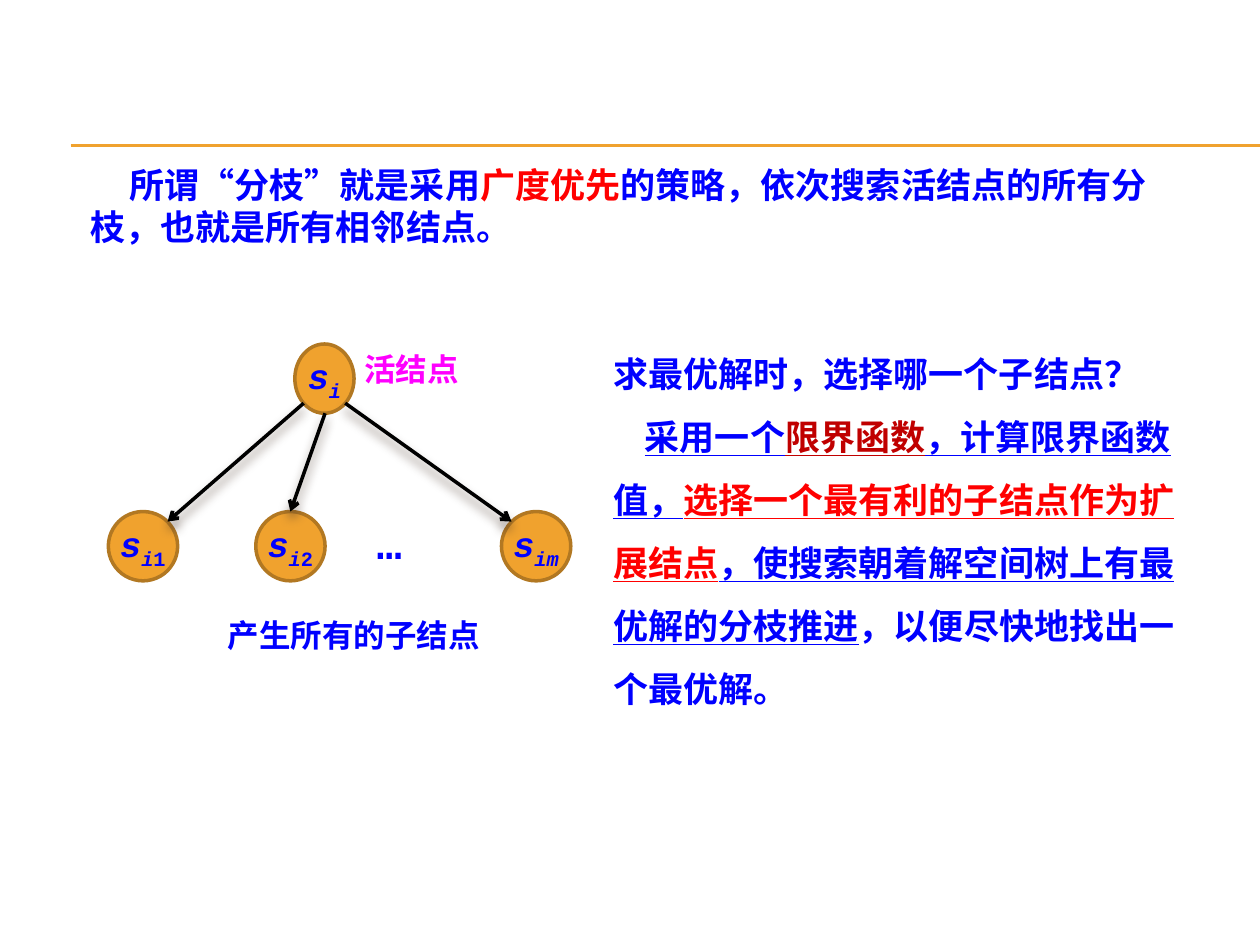
from lxml.etree import SubElement
from pptx import Presentation
from pptx.dml.color import RGBColor
from pptx.enum.shapes import MSO_CONNECTOR, MSO_SHAPE
from pptx.enum.text import MSO_ANCHOR, MSO_AUTO_SIZE, PP_ALIGN
from pptx.oxml.ns import qn
from pptx.util import Inches, Pt

BLUE = RGBColor(0x00, 0x00, 0xFF)
RED = RGBColor(0xFF, 0x00, 0x00)
DARK_RED = RGBColor(0xC0, 0x00, 0x00)
MAGENTA = RGBColor(0xFF, 0x00, 0xFF)
ORANGE = RGBColor(0xF0, 0xA2, 0x2E)
BROWN = RGBColor(0xB2, 0x78, 0x22)
BLACK = RGBColor(0x00, 0x00, 0x00)
FONT = "Courier New"
NODE_SIZE = 0.55
CHILD_TOP = 4.06


def style_paragraph(paragraph, size, color=BLUE, align=PP_ALIGN.LEFT):
    paragraph.alignment = align
    font = paragraph.font
    font.name, font.size, font.bold = FONT, Pt(size), True
    font.color.rgb = color


def add_run(paragraph, text, color=None, underline=None):
    run = paragraph.add_run()
    run.text = text
    if color is not None:
        run.font.color.rgb = color
    if underline:
        run.font.underline = True
    return run


def indent_first_line(paragraph, inches):
    paragraph._p.get_or_add_pPr().set("indent", str(Inches(inches)))


def add_text_box(shapes, left, top, width, height, side_inset=0.1):
    box = shapes.add_textbox(Inches(left), Inches(top), Inches(width), Inches(height))
    frame = box.text_frame
    frame.word_wrap = True
    frame.auto_size = MSO_AUTO_SIZE.SHAPE_TO_FIT_TEXT
    frame.margin_left = frame.margin_right = Inches(side_inset)
    return frame


def add_label(shapes, text, bounds, size, color=BLUE, align=PP_ALIGN.LEFT, side_inset=0):
    paragraph = add_text_box(shapes, *bounds, side_inset).paragraphs[0]
    style_paragraph(paragraph, size, color, align)
    add_run(paragraph, text)


def add_node(shapes, left, top, width, letter, number=""):
    node = shapes.add_shape(MSO_SHAPE.OVAL, Inches(left), Inches(top),
                            Inches(width), Inches(NODE_SIZE))
    node.shadow.inherit = False
    node.fill.solid()
    node.fill.fore_color.rgb = ORANGE
    node.line.color.rgb = BROWN
    node.line.width = Pt(2)
    frame = node.text_frame
    frame.margin_left = frame.margin_right = 0
    frame.vertical_anchor = MSO_ANCHOR.MIDDLE
    paragraph = frame.paragraphs[0]
    style_paragraph(paragraph, 20, align=PP_ALIGN.CENTER)
    add_run(paragraph, "s").font.italic = True
    # Subscript: italic letters, upright number
    for text, italic in ((letter, True), (number, False)):
        if text:
            run = add_run(paragraph, text)
            run.font.italic = italic
            run.font._element.set("baseline", "-25000")
    return node


def add_line(shapes, start, end, color, width):
    line = shapes.add_connector(MSO_CONNECTOR.STRAIGHT,
                                *(Inches(value) for value in (*start, *end)))
    line.line.color.rgb = color
    line.line.width = Pt(width)
    effects = SubElement(line._element.spPr, qn("a:effectLst"))
    return line, effects


def add_arrow(shapes, start, end):
    arrow, effects = add_line(shapes, start, end, BLACK, 2)
    SubElement(arrow.line._get_or_add_ln(), qn("a:tailEnd"), type="arrow")
    shadow = SubElement(effects, qn("a:outerShdw"), blurRad=str(Pt(6)),
                        dist=str(Pt(4)), dir="5400000", rotWithShape="0")
    color = SubElement(shadow, qn("a:srgbClr"), val="4E3B30")
    SubElement(color, qn("a:alpha"), val="60000")
    return arrow


def add_introduction(shapes):
    paragraph = add_text_box(shapes, 0.62, 1.25, 8.75, 0.77).paragraphs[0]
    style_paragraph(paragraph, 20)
    indent_first_line(paragraph, 0.31)
    add_run(paragraph, "所谓“分枝”就是采用")
    add_run(paragraph, "广度优先", RED)
    add_run(paragraph, "的策略，依次搜索活结点的所有分枝，也就是所有相邻结点。")


def add_explanation(shapes):
    frame = add_text_box(shapes, 4.77, 2.58, 4.84, 3.13)
    question, answer = frame.paragraphs[0], frame.add_paragraph()
    for paragraph in (question, answer):
        style_paragraph(paragraph, 20)
        paragraph.line_spacing = 1.5
    add_run(question, "求最优解时，选择哪一个子结点？")
    indent_first_line(answer, 0.25)
    for text, color in (("采用一个", BLUE), ("限界函数", DARK_RED),
                        ("，计算限界函数值，", BLUE),
                        ("选择一个最有利的子结点作为扩展结点", RED),
                        ("，使搜索朝着解空间树上有最优解的分枝推进", BLUE)):
        add_run(answer, text, color, underline=True)
    add_run(answer, "，以便尽快地找出一个最优解。")


def add_tree(shapes):
    # Live node and its children
    add_node(shapes, 2.34, 2.73, 0.47, "i")
    children = [add_node(shapes, left, CHILD_TOP, NODE_SIZE, letter, number)
                for left, letter, number in ((0.86, "i", "1"), (2.03, "i", "2"),
                                             (3.98, "im", ""))]
    add_label(shapes, "…", (2.89, CHILD_TOP, 0.78, 0.5), 24, side_inset=0.1)

    # Branches
    add_arrow(shapes, (2.41, 3.2), (1.33, 4.14))
    middle = add_arrow(shapes, (2.58, 3.28), (2.3, CHILD_TOP))
    middle.end_connect(children[1], 0)
    add_arrow(shapes, (2.74, 3.2), (4.06, 4.14))

    # Captions
    add_label(shapes, "活结点", (2.89, 2.73, 1.02, 0.4), 18, MAGENTA)
    add_label(shapes, "产生所有的子结点", (1.48, 4.84, 2.66, 0.4), 18,
              align=PP_ALIGN.CENTER)


def main():
    presentation = Presentation()
    presentation.slide_width, presentation.slide_height = Inches(10), Inches(7.5)
    slide = presentation.slides.add_slide(presentation.slide_layouts[6])

    # Double rule under the empty header
    for y in (1.15, 1.16):
        add_line(slide.shapes, (0.56, y), (10, y), ORANGE, 0.75)
    add_introduction(slide.shapes)
    add_explanation(slide.shapes)
    add_tree(slide.shapes.add_group_shape().shapes)
    presentation.save("out.pptx")


if __name__ == "__main__":
    main()
